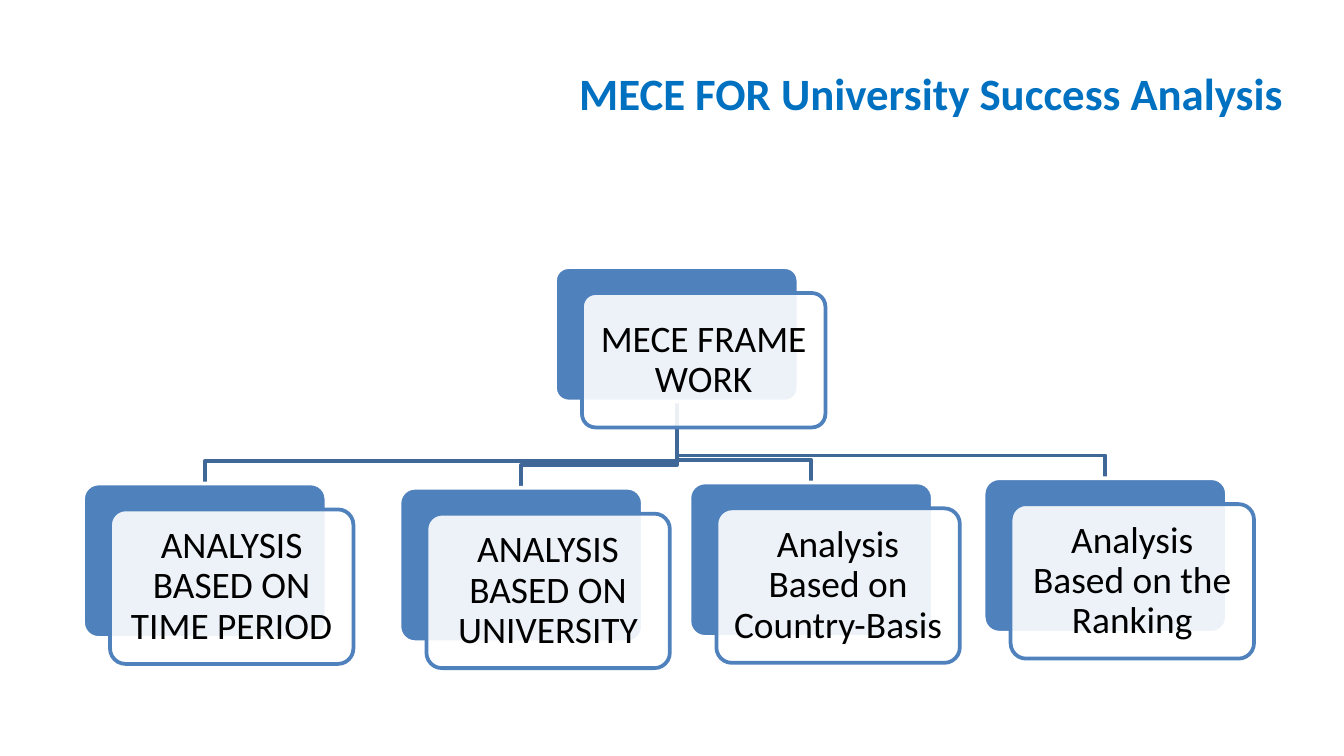
"""Build the MECE framework slide for university success analysis."""
from lxml.etree import SubElement
from pptx import Presentation
from pptx.dml.color import RGBColor
from pptx.enum.shapes import MSO_SHAPE as Shape
from pptx.enum.text import MSO_ANCHOR as Anchor, PP_ALIGN as Align
from pptx.oxml.ns import qn
from pptx.util import Cm, Pt


def color(value):
    return RGBColor.from_string(value)


def write(box, text, size, value, align):
    frame = box.text_frame
    frame.word_wrap = True
    frame.vertical_anchor = Anchor.MIDDLE
    frame.text = text
    para = frame.paragraphs[0]
    para.alignment = align
    span = para.runs[0]
    span.font.name = "Calibri"
    span.font.size = Pt(size)
    span.font.color.rgb = color(value)
    return para


BLUE, WHITE, CONNECTOR = "4F81BD", "FFFFFF", "3F6797"
CARD_WIDTH, ROOT_HEIGHT, LEAF_HEIGHT = 4.6, 2.54, 2.92
PANEL_RIGHT, PANEL_DOWN, BEND = 0.51, 0.49, 0.43

root = ("MECE FRAME WORK", 10.49, 5.05, ROOT_HEIGHT)
leaves = [
    ("ANALYSIS BASED ON TIME PERIOD", 1.57, 9.14, LEAF_HEIGHT),
    ("ANALYSIS BASED ON UNIVERSITY", 7.55, 9.22, LEAF_HEIGHT),
    ("Analysis Based on Country-Basis", 13.03, 9.12, LEAF_HEIGHT),
    ("Analysis Based on the Ranking", 18.59, 9.04, LEAF_HEIGHT),
]

deck = Presentation()
deck.slide_width, deck.slide_height = Cm(25.4), Cm(14.29)
page = deck.slides.add_slide(deck.slide_layouts[6])

title = page.shapes.add_textbox(Cm(2.21), Cm(0.69), Cm(22.48), Cm(2.13))
para = write(title, "MECE FOR University Success Analysis ", 24, "0070C0", Align.RIGHT)
para.runs[0].font.bold = True

trunk = root[1] + CARD_WIDTH / 2
start = root[2] + ROOT_HEIGHT
for text, left, top, height in reversed(leaves):
    middle = left + CARD_WIDTH / 2
    bend = top - BEND
    builder = page.shapes.build_freeform(Cm(trunk), Cm(start))
    corners = [(trunk, bend), (middle, bend), (middle, top)]
    builder.add_line_segments([(Cm(x), Cm(y)) for x, y in corners], close=False)
    branch = builder.convert_to_shape()
    branch.shadow.inherit = False
    branch.fill.background()
    branch.line.color.rgb = color(CONNECTOR)
    branch.line.width = Pt(2)

for text, left, top, height in [root, *leaves]:
    for shift, drop, fill, line in [(0, 0, BLUE, WHITE), (PANEL_RIGHT, PANEL_DOWN, WHITE, BLUE)]:
        panel = page.shapes.add_shape(
            Shape.ROUNDED_RECTANGLE, Cm(left + shift), Cm(top + drop), Cm(CARD_WIDTH), Cm(height)
        )
        panel.adjustments[0] = 0.1
        panel.shadow.inherit = False
        panel.fill.solid()
        panel.fill.fore_color.rgb = color(fill)
        panel.line.color.rgb = color(line)
        panel.line.width = Pt(2)
    shade = panel.fill._xPr.find(qn("a:solidFill"))[0]
    SubElement(shade, qn("a:alpha")).set("val", "90000")
    frame = panel.text_frame
    frame.margin_left = frame.margin_right = Cm(0.2)
    frame.margin_top = frame.margin_bottom = Cm(0.2)
    para = write(panel, text, 20, "000000", Align.CENTER)
    para.line_spacing = 0.9

deck.save("out.pptx")
